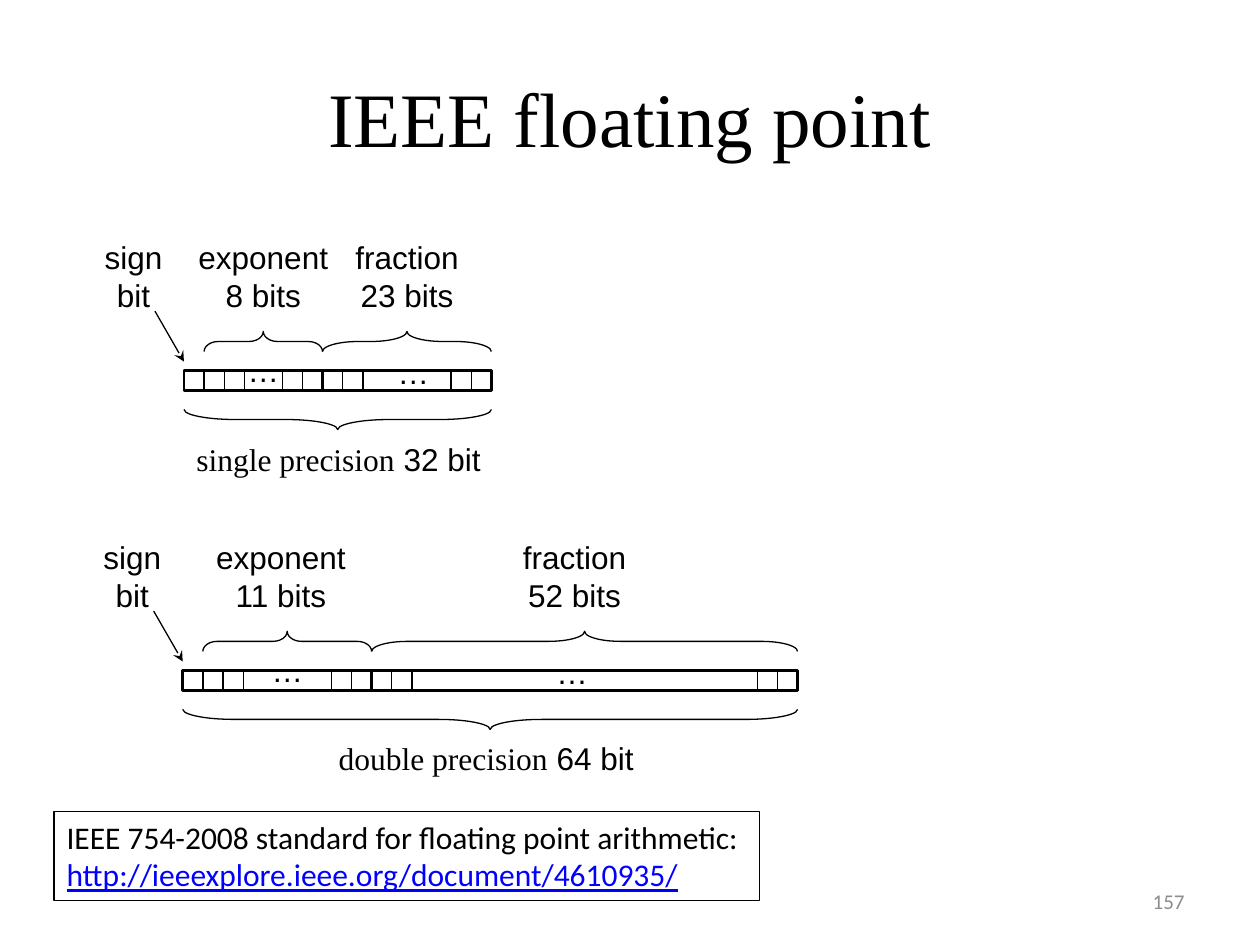
import pptx
import pptx.util
import pptx.dml.color
import pptx.enum.shapes
import pptx.enum.text
import pptx.oxml
import pptx.oxml.ns

Inches = pptx.util.Inches
Pt = pptx.util.Pt
SHAPES = pptx.enum.shapes.MSO_SHAPE
ALIGN = pptx.enum.text.PP_ALIGN
ANCHOR = pptx.enum.text.MSO_ANCHOR

COLORS = {"ink": "000000", "paper": "FFFFFF", "link": "0000FF", "number": "8C8C8C"}
THIN, THICK = 0.75, 1.5
BIT = 0.16  # width and height of one bit cell

FORMATS = [
    {"left": 1.46, "top": 2.94, "width": 2.44, "exponent_end": 2.56,
     "exponent": ("8 bits", 2.09), "fraction": ("23 bits", 3.23), "dots": 3.28,
     "caption": ("single precision", " 32 bit", 1.46, 2.48)},
    {"left": 1.45, "top": 5.32, "width": 4.88, "exponent_end": 2.95,
     "exponent": ("11 bits", 2.23), "fraction": ("52 bits", 4.56), "dots": 4.54,
     "caption": ("double precision", " 64 bit", 2.59, 2.57)},
]


def color(name):
    return pptx.dml.color.RGBColor.from_string(COLORS[name])


class Painter:
    def __init__(self, slide):
        self.slide = slide
        self.font = {"name": "Arial", "size": Pt(18)}

    def outline(self, shape, weight):
        shape.line.color.rgb = color("ink")
        shape.line.width = Pt(weight)

    def text(self, left, top, width, height, paragraphs, align=ALIGN.LEFT,
             wrap=False, anchor=ANCHOR.TOP):
        """Each paragraph is a list of (words, format values, color name)."""
        box = self.slide.shapes.add_textbox(
            Inches(left), Inches(top), Inches(width), Inches(height))
        frame = box.text_frame
        frame.word_wrap = wrap
        frame.vertical_anchor = anchor
        for index, spans in enumerate(paragraphs):
            para = frame.add_paragraph() if index else frame.paragraphs[0]
            para.alignment = align
            for words, values, ink in spans:
                span = para.add_run()
                span.text = words
                for key, value in {**self.font, **values}.items():
                    setattr(span.font, key, value)
                span.font.color.rgb = color(ink)
        return box

    def label(self, center, top, width, *lines):
        height = 0.7 if len(lines) > 1 else 0.4
        self.text(center - width / 2, top, width, height,
                  [[(line, {}, "ink")] for line in lines], ALIGN.CENTER)

    def bar(self, left, top, width):
        shape = self.slide.shapes.add_shape(
            SHAPES.RECTANGLE, Inches(left), Inches(top), Inches(width), Inches(BIT))
        shape.shadow.inherit = False
        shape.fill.solid()
        shape.fill.fore_color.rgb = color("paper")
        self.outline(shape, THICK)

    def line(self, x1, y1, x2, y2, weight=THIN, arrow=False):
        line = self.slide.shapes.add_connector(
            pptx.enum.shapes.MSO_CONNECTOR.STRAIGHT,
            Inches(x1), Inches(y1), Inches(x2), Inches(y2))
        self.outline(line, weight)
        if arrow:
            tail = pptx.oxml.parse_xml(
                '<a:tailEnd %s type="stealth"/>' % pptx.oxml.ns.nsdecls("a"))
            line.line._get_or_add_ln().append(tail)
        line._element.spPr.append(pptx.oxml.parse_xml(
            "<a:effectLst %s/>" % pptx.oxml.ns.nsdecls("a")))

    def brace(self, start, end, top, rotation, curve):
        """A right brace turned to span start to end horizontally."""
        length = end - start
        left = (start + end - BIT) / 2
        shape = self.slide.shapes.add_shape(
            SHAPES.RIGHT_BRACE, Inches(left), Inches(top + (BIT - length) / 2),
            Inches(BIT), Inches(length))
        shape.rotation = rotation
        shape.adjustments[0] = curve
        shape.shadow.inherit = False
        shape.fill.background()
        self.outline(shape, THIN)

    def number_format(self, left, top, width, exponent_end, exponent, fraction,
                      dots, caption):
        right = left + width
        # Bit cells
        self.bar(left, top, width)
        borders = (left + BIT, exponent_end)
        ticks = [left + 2 * BIT, left + 3 * BIT, right - 2 * BIT, right - BIT]
        ticks += [exponent_end + step * BIT for step in (-2, -1, 1, 2)]
        for x in (*borders, *ticks):
            self.line(x, top, x, top + BIT, THICK if x in borders else THIN)
        self.label(sum(borders) / 2, top - 0.2, 0.45, "…")
        self.label(dots, top - 0.19, 0.45, "…")
        # Field labels
        self.label(left - 0.4, top - 1.1, 0.66, "sign", "bit")
        self.line(left - 0.23, top - 0.47, left, top - 0.07, arrow=True)
        self.label(exponent[1], top - 1.1, 1.23, "exponent", exponent[0])
        self.label(fraction[1], top - 1.1, 1.02, "fraction", fraction[0])
        # Braces
        self.brace(*borders, top - 0.31, 270, 0.71)
        self.brace(exponent_end, right, top - 0.31, 270, 1.79)
        self.brace(left, right, top + 0.31, 90, 2.58)
        # Caption
        name, size, caption_left, caption_width = caption
        self.text(caption_left, top + 0.5, caption_width, 0.4,
                  [[(name, {"name": "Times New Roman"}, "ink"), (size, {}, "ink")]])


def main():
    deck = pptx.Presentation()
    deck.slide_width, deck.slide_height = Inches(10), Inches(7.5)
    painter = Painter(deck.slides.add_slide(deck.slide_layouts[6]))

    # Title
    painter.text(0.5, 0.3, 9, 1.25,
                 [[("IEEE floating point", {"name": "Times New Roman", "size": Pt(44)}, "ink")]],
                 ALIGN.CENTER, True, ANCHOR.MIDDLE)

    # Single and double precision
    for number_format in FORMATS:
        painter.number_format(**number_format)

    # Reference to the standard
    calibri = {"name": "Calibri"}
    reference = painter.text(0.43, 6.44, 5.6, 0.71, [
        [("IEEE 754-2008 standard for floating point arithmetic:", calibri, "ink")],
        [("http://ieeexplore.ieee.org/document/4610935/",
          {**calibri, "underline": True}, "link")]])
    painter.outline(reference, THIN)

    # Page number
    painter.text(7.17, 6.95, 2.33, 0.4,
                 [[("157", {**calibri, "size": Pt(12)}, "number")]],
                 ALIGN.RIGHT, True, ANCHOR.MIDDLE)
    deck.save("out.pptx")


if __name__ == "__main__":
    main()
